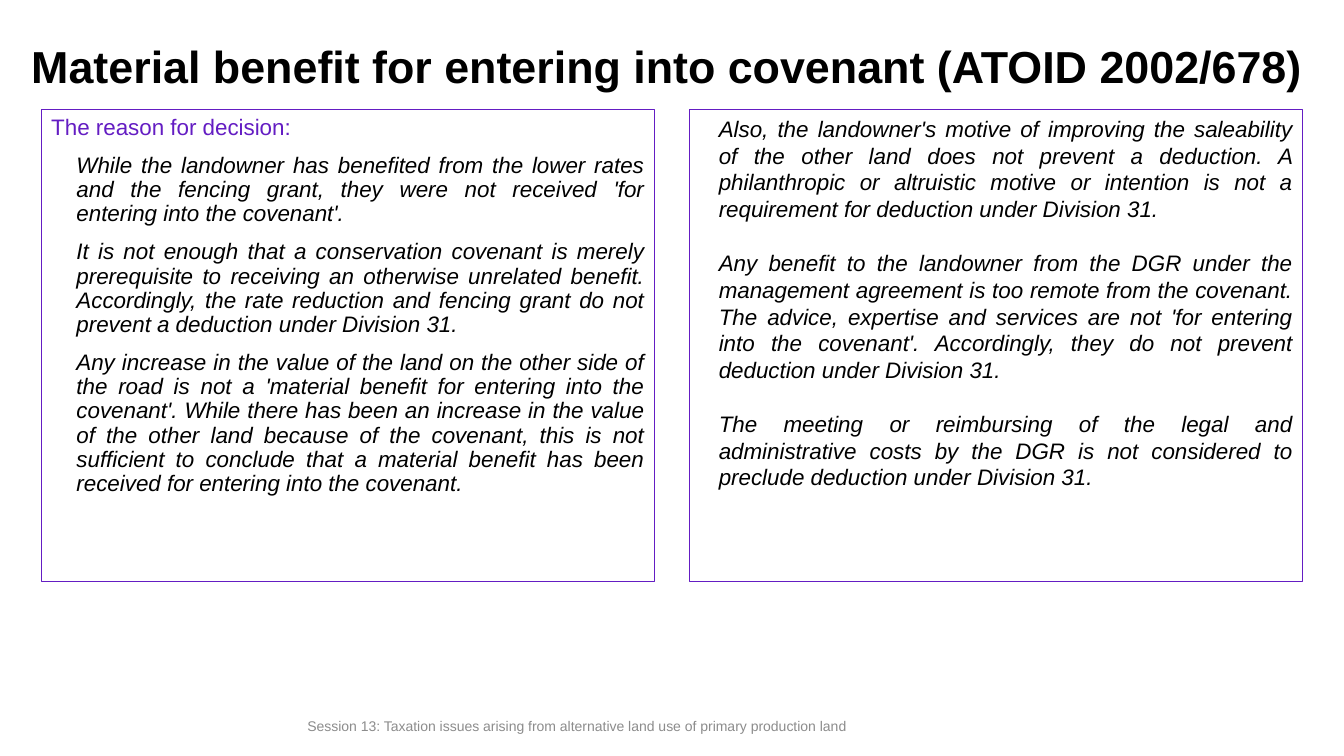
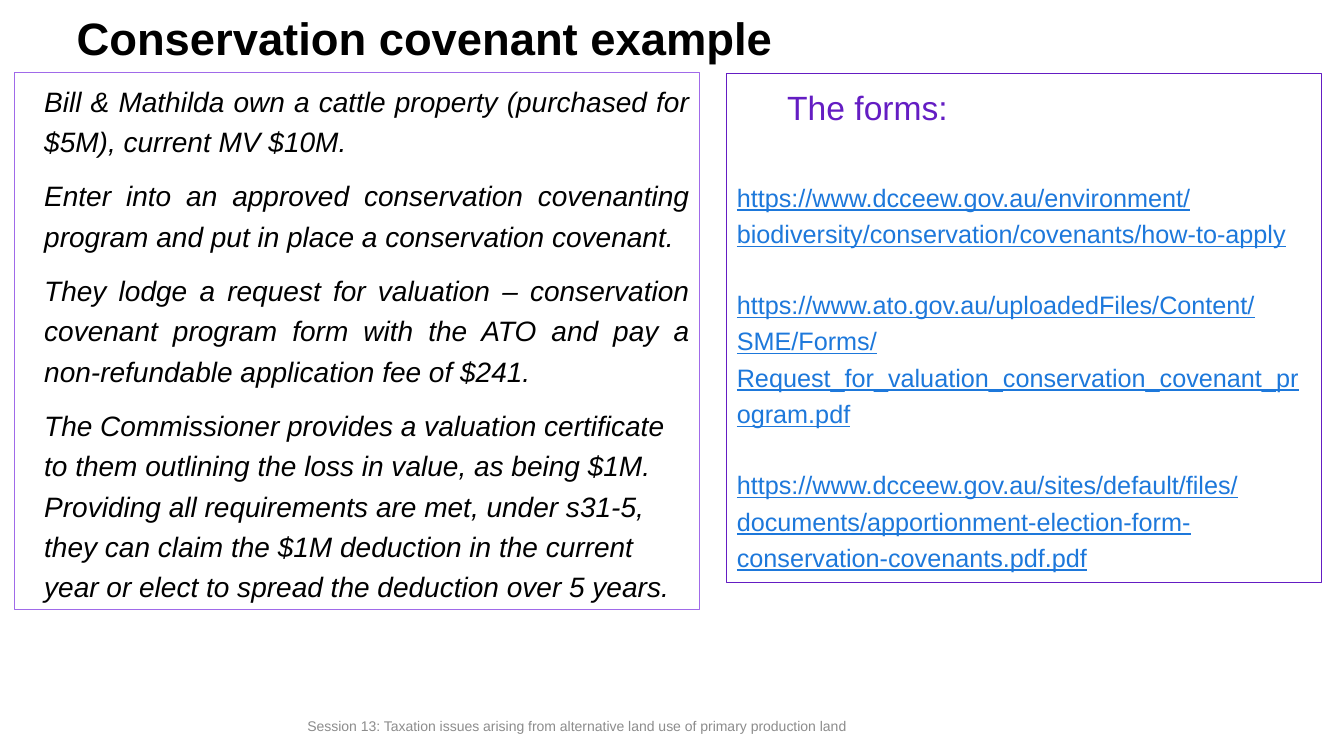
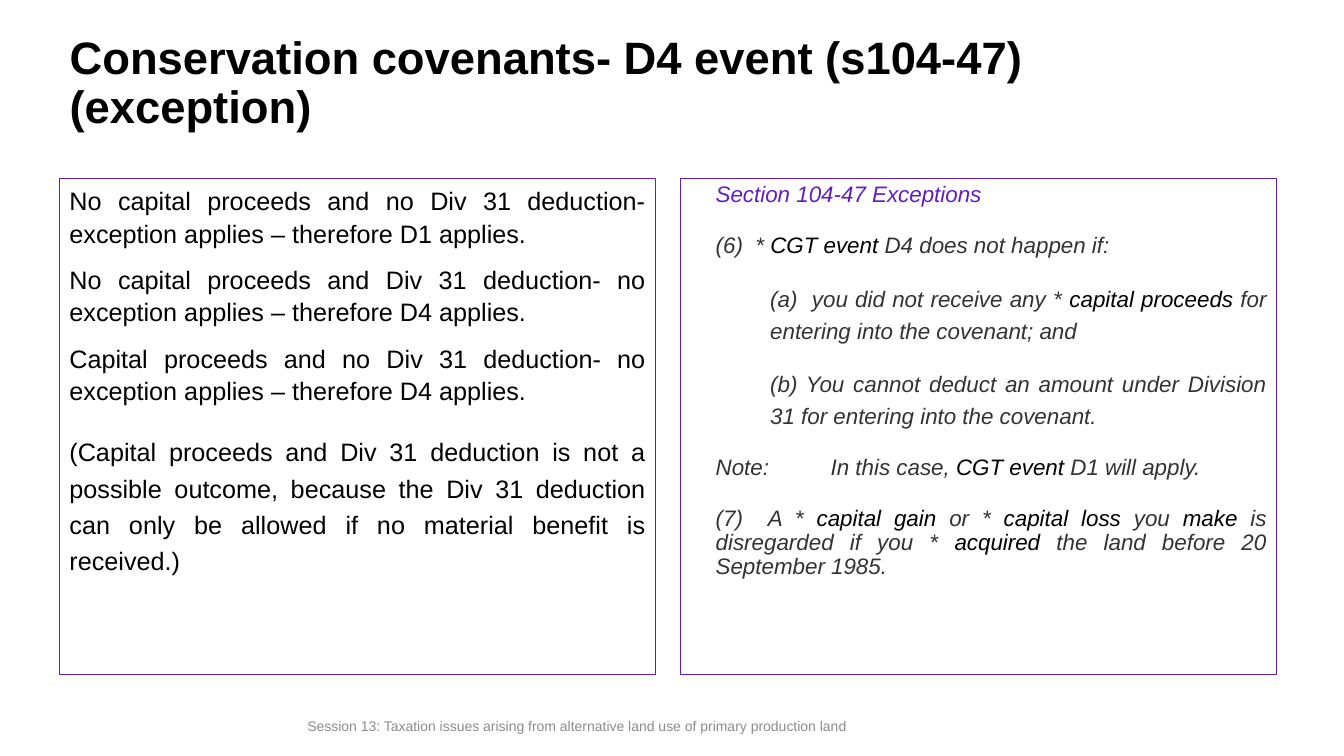
import pptx
import pptx.util
import pptx.dml.color
import pptx.enum.text
import pptx.enum.shapes

Inches = pptx.util.Inches
Pt = pptx.util.Pt
Align = pptx.enum.text.PP_ALIGN
Anchor = pptx.enum.text.MSO_ANCHOR

FONT = "Arial"
COLORS = {
    "ink": "000000",
    "accent": "641DC3",
    "light": "A06AE9",
    "law": "333333",
    "link": "1D78DB",
    "foot": "8C8C8C",
}
FOOTER = "Session 13: Taxation issues arising from alternative land use of primary production land"

REASONS = [
    "While the landowner has benefited from the lower rates and the fencing grant, they were not received 'for entering into the covenant'.",
    "It is not enough that a conservation covenant is merely prerequisite to receiving an otherwise unrelated benefit. Accordingly, the rate reduction and fencing grant do not prevent a deduction under Division 31.",
    "Any increase in the value of the land on the other side of the road is not a 'material benefit for entering into the covenant'. While there has been an increase in the value of the other land because of the covenant, this is not sufficient to conclude that a material benefit has been received for entering into the covenant.",
]
MOTIVES = [
    "Also, the landowner's motive of improving the saleability of the other land does not prevent a deduction. A philanthropic or altruistic motive or intention is not a requirement for deduction under Division 31.",
    "Any benefit to the landowner from the DGR under the management agreement is too remote from the covenant. The advice, expertise and services are not 'for entering into the covenant'. Accordingly, they do not prevent deduction under Division 31.",
    "The meeting or reimbursing of the legal and administrative costs by the DGR is not considered to preclude deduction under Division 31.",
]
STEPS = [
    "Bill & Mathilda own a cattle property (purchased for $5M), current MV $10M.",
    "Enter into an approved conservation covenanting program and put in place a conservation covenant.",
    "They lodge a request for valuation – conservation covenant program form with the ATO and pay a non-refundable application fee of $241.",
]
RESULT = "The Commissioner provides a valuation certificate to them outlining the loss in value, as being $1M.\nProviding all requirements are met, under s31-5, they can claim the $1M deduction in the current year or elect to spread the deduction over 5 years."
FORMS = [
    "https://www.dcceew.gov.au/environment/biodiversity/conservation/covenants/how-to-apply",
    "https://www.ato.gov.au/uploadedFiles/Content/SME/Forms/Request_for_valuation_conservation_covenant_program.pdf",
    "https://www.dcceew.gov.au/sites/default/files/documents/apportionment-election-form-conservation-covenants.pdf.pdf",
]
CASES = [
    "No capital proceeds and no Div 31 deduction- exception applies – therefore D1 applies.",
    "No capital proceeds and Div 31 deduction- no exception applies – therefore D4 applies.",
    "Capital proceeds and no Div 31 deduction- no exception applies – therefore D4 applies.",
]
REMARK = "(Capital proceeds and Div 31 deduction is not a possible outcome, because the Div 31 deduction can only be allowed if no material benefit is received.)"
LIMITS = [
    "(a)  you did not receive any * |capital proceeds| for entering into the covenant; and",
    "(b) You cannot deduct an amount under Division 31 for entering into the covenant.",
]
LOSSES = "(7)  A * |capital gain| or * |capital loss| you |make| is disregarded if you * |acquired| the land before 20 September 1985."


def paint(name):
    """Return the named colour."""
    return pptx.dml.color.RGBColor.from_string(COLORS[name])


def write(frame, text, size=16, color="ink", bold=False, italic=False, under=False,
          align=Align.JUSTIFY, line=1.0, before=0, after=0, left=0, first=0):
    """Add a paragraph; parts between bars are terms set in ink."""
    fresh = not frame.paragraphs[0].runs
    para = frame.paragraphs[0] if fresh else frame.add_paragraph()
    props = para._p.get_or_add_pPr()
    props.set("marL", str(Inches(left)))
    props.set("indent", str(Inches(first)))
    para.alignment = align
    para.line_spacing = line
    para.space_before = Pt(0 if fresh else before)
    para.space_after = Pt(after)
    for spot, part in enumerate(text.split("|")):
        for row, piece in enumerate(part.split("\n")):
            if row:
                para.add_line_break()
            run = para.add_run()
            run.text = piece
            font = run.font
            font.name = FONT
            font.size = Pt(size)
            font.bold = bold
            font.italic = italic
            font.underline = under
            font.color.rgb = paint("ink" if spot % 2 else color)


def setup(shape, anchor):
    """Set margins, wrapping and anchor of a shape's text."""
    frame = shape.text_frame
    frame.word_wrap = True
    frame.auto_size = pptx.enum.text.MSO_AUTO_SIZE.NONE
    frame.vertical_anchor = anchor
    frame.margin_left = frame.margin_right = Inches(0.1)
    frame.margin_top = frame.margin_bottom = Inches(0.05)
    return frame


def start(deck, text, box, size=32.4):
    """Add a slide with its title and footer."""
    slide = deck.slides.add_slide(deck.slide_layouts[5])
    title = slide.shapes.title
    title.left, title.top, title.width, title.height = map(Inches, box)
    write(setup(title, Anchor.BOTTOM), text, size=size, bold=True,
          align=Align.LEFT, line=0.9)
    foot = slide.shapes.add_textbox(*map(Inches, (2.95, 7.08, 7.87, 0.24)))
    write(setup(foot, Anchor.MIDDLE), FOOTER, size=10, color="foot", align=Align.LEFT)
    return slide


def panel(slide, box, color="accent"):
    """Add an outlined panel and return its text frame."""
    shape = slide.shapes.add_shape(
        pptx.enum.shapes.MSO_SHAPE.RECTANGLE, *map(Inches, box))
    shape.shadow.inherit = False
    shape.fill.background()
    shape.line.color.rgb = paint(color)
    shape.line.width = Pt(0.75)
    return setup(shape, Anchor.TOP)


def benefit(deck):
    """Build the slide on material benefit."""
    slide = start(deck, "Material benefit for entering into covenant (ATOID 2002/678)",
                  (0.21, 0.39, 12.88, 0.58), size=32)
    frame = panel(slide, (0.41, 1.09, 6.08, 4.68))
    write(frame, "The reason for decision:", color="accent", line=Pt(18))
    for text in REASONS:
        write(frame, text, italic=True, line=0.9, before=10, left=0.25)
    frame = panel(slide, (6.84, 1.09, 6.08, 4.68))
    for text in MOTIVES:
        write(frame, text, italic=True, before=19, left=0.19)


def example(deck):
    """Build the slide with the worked example."""
    slide = start(deck, "Conservation covenant example", (0.66, 0.1, 12.01, 0.6))
    frame = panel(slide, (0.14, 0.72, 6.8, 5.33), color="light")
    style = dict(size=20, italic=True, line=1.2, after=10, left=0.2)
    for text in STEPS:
        write(frame, text, **style)
    write(frame, RESULT, align=Align.LEFT, **style)
    frame = panel(slide, (7.21, 0.73, 5.9, 5.05))
    style = dict(align=Align.LEFT, line=1.2)
    write(frame, "The forms:", size=24, color="accent", after=10, left=0.5, **style)
    for text in FORMS:
        write(frame, text, size=18, color="link", under=True, before=25, **style)


def event(deck):
    """Build the slide on the D4 event."""
    slide = start(deck, "Conservation covenants- D4 event (s104-47) (exception)",
                  (0.59, 0.39, 12.01, 0.98))
    frame = panel(slide, (0.59, 1.77, 5.91, 4.92))
    for text in CASES:
        write(frame, text, size=18, line=1.07, before=10)
    write(frame, REMARK, size=18, line=1.2, before=18)
    frame = panel(slide, (6.75, 1.77, 5.91, 4.92))
    rule = dict(italic=True, line=0.9, before=10, after=9)
    write(frame, "Section 104-47 Exceptions", color="accent", left=0.25, **rule)
    rule["color"] = "law"
    write(frame, "(6)  * |CGT event| D4 does not happen if:", left=0.25, **rule)
    for text in LIMITS:
        write(frame, text, color="law", italic=True, line=1.2, before=6, after=9, left=0.79)
    write(frame, "Note:\tIn this case, |CGT event| D1 will apply.",
          left=1.39, first=-1.14, **rule)
    write(frame, LOSSES, left=0.25, **rule)


def main():
    """Build and save the deck."""
    deck = pptx.Presentation()
    deck.slide_width = Inches(13.33)
    deck.slide_height = Inches(7.5)
    benefit(deck)
    example(deck)
    event(deck)
    deck.save("out.pptx")


if __name__ == "__main__":
    main()
